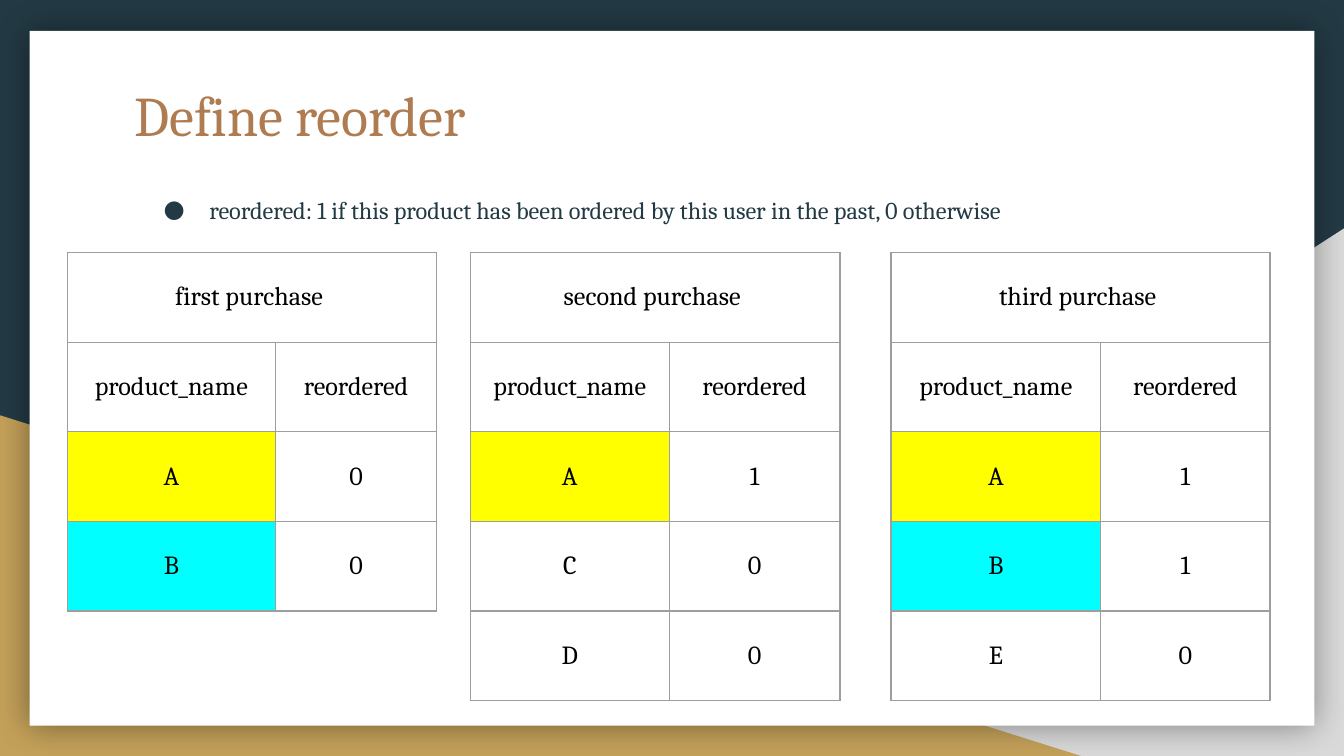
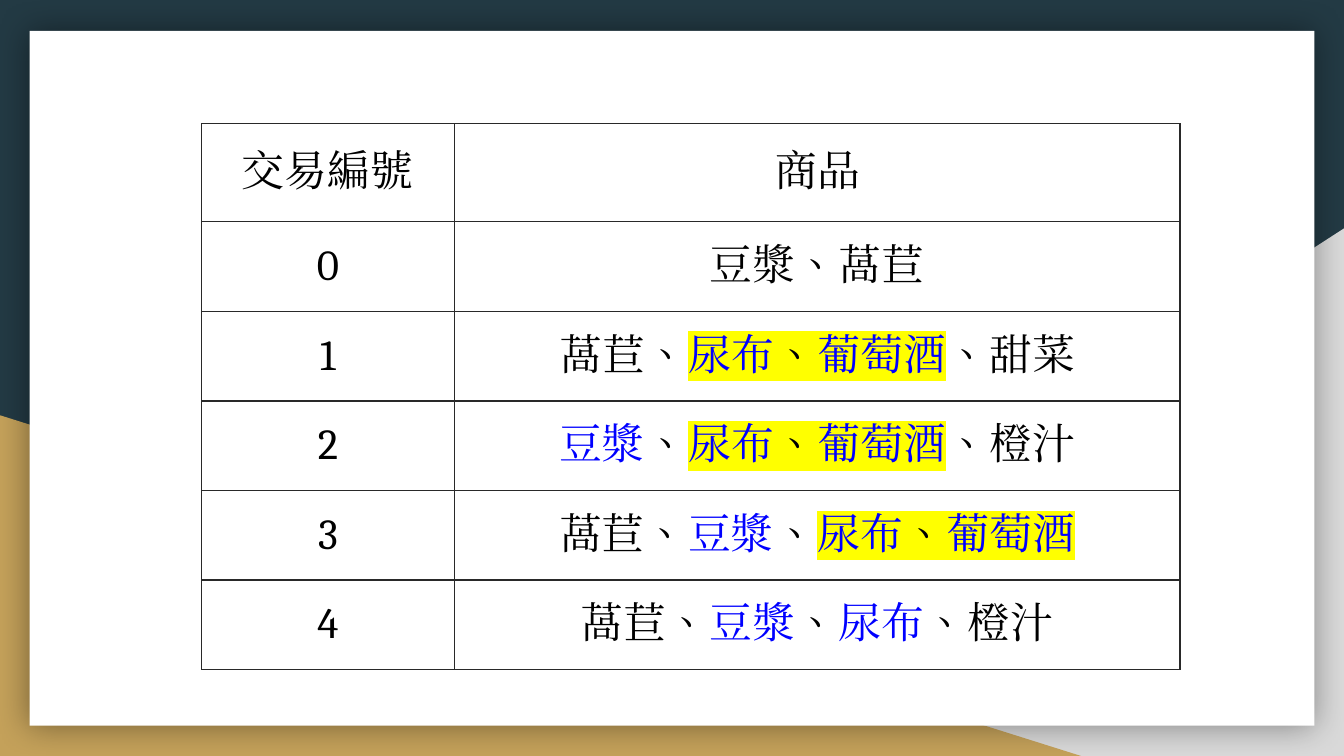
from lxml import etree
from pptx import Presentation
from pptx.dml.color import RGBColor
from pptx.enum.shapes import MSO_SHAPE
from pptx.enum.text import MSO_ANCHOR, MSO_AUTO_SIZE, PP_ALIGN
from pptx.oxml.ns import qn
from pptx.util import Inches, Pt

RECT = MSO_SHAPE.RECTANGLE
WEDGE = MSO_SHAPE.RIGHT_TRIANGLE
TOP, MIDDLE = MSO_ANCHOR.TOP, MSO_ANCHOR.MIDDLE
LEFT, CENTER = PP_ALIGN.LEFT, PP_ALIGN.CENTER
NO_FIT = MSO_AUTO_SIZE.NONE

FONT, LANG = "Cambria", "zh-TW"
NAVY, GOLD, SILVER, WHITE = "233A44", "C4A15A", "D9D9D9", "FFFFFF"
BROWN, BLACK, BLUE = "AF7B51", "000000", "0000FF"
YELLOW, CYAN = "FFFF00", "00FFFF"
GRAY, DARK = "9E9E9E", "292929"
PAD = 0.1
ROW = 2 / 3

BACKDROP = [
    (WEDGE, (3.92, 1.7, 6.08, 3.93), SILVER, True),
    (WEDGE, (0, 3.09, 8.06, 2.54), GOLD, False),
    (RECT, (0.22, 0.23, 9.56, 5.17), WHITE, False),
]

TITLE = "Define reorder"
RULE = ("reordered: 1 if this product has been ordered by this user "
        "in the past, 0 otherwise")
HEAD = ("product_name", "reordered")
MARKS = {"A": YELLOW, "B": CYAN}
ORDERS = [
    ("first purchase ", 0.5, (1.55, 1.2), [("A", "0"), ("B", "0")]),
    ("second purchase ", 3.5, (1.48, 1.27),
     [("A", "1"), ("C", "0"), ("D", "0")]),
    ("third purchase ", 6.63, (1.56, 1.26),
     [("A", "1"), ("B", "1"), ("E", "0")]),
]

COMMA = ("、", BLACK, None)
LETTUCE = ("萵苣、", BLACK, None)
SOY = ("豆漿", BLUE, None)
JUICE = ("、橙汁", BLACK, None)
PAIR = [("尿布", BLUE, YELLOW), ("、", BLACK, YELLOW),
        ("葡萄酒", BLUE, YELLOW)]
BASKETS = [
    ("交易編號", "商品"),
    ("0", "豆漿、萵苣"),
    ("1", [LETTUCE, *PAIR, ("、甜菜", BLACK, None)]),
    ("2", [SOY, COMMA, *PAIR, JUICE]),
    ("3", [LETTUCE, SOY, COMMA, *PAIR]),
    ("4", [LETTUCE, SOY, COMMA, ("尿布", BLUE, None), JUICE]),
]


def rgb(code):
    return RGBColor.from_string(code)


def add_node(parent, tag, **attrs):
    node = etree.SubElement(parent, qn(tag))
    for key, value in attrs.items():
        node.set(key, str(value))
    return node


def add_run(para, text, size, color, mark=None):
    run = para.add_run()
    run.text = text
    font = run.font
    font.size = Pt(size)
    font.color.rgb = rgb(color)
    props = run._r.get_or_add_rPr()
    props.set("lang", LANG)
    if mark:
        add_node(add_node(props, "a:highlight"), "a:srgbClr", val=mark)
    font.name = FONT
    add_node(props, "a:ea", typeface=FONT)


def set_pads(item):
    item.margin_left = item.margin_right = Inches(PAD)
    item.margin_top = item.margin_bottom = Inches(PAD)


def add_backdrop(deck, slide):
    master = deck.slide_master
    fill = master.background.fill
    fill.solid()
    fill.fore_color.rgb = rgb(NAVY)
    for n, (kind, box, color, flip) in enumerate(BACKDROP):
        shape = slide.shapes.add_shape(kind, *map(Inches, box))
        shape.shadow.inherit = False
        shape.fill.solid()
        shape.fill.fore_color.rgb = rgb(color)
        shape.line.fill.background()
        node = shape._element
        node.nvSpPr.cNvPr.set("id", str(20 + n))
        if flip:
            node.spPr.find(qn("a:xfrm")).set("flipH", "1")
        if kind == RECT:
            glow = add_node(node.spPr.find(qn("a:effectLst")),
                            "a:outerShdw", blurRad=Pt(18), dist=0, dir=0,
                            algn="ctr", rotWithShape=0)
            tint = add_node(glow, "a:srgbClr", val=BLACK)
            add_node(tint, "a:alpha", val=40000)
        master.shapes._spTree.insert(2 + n, node)


def set_edges(cell, color):
    props = cell._tc.get_or_add_tcPr()
    for side in "LRTB":
        line = add_node(props, "a:ln" + side, w=Pt(0.75))
        add_node(add_node(line, "a:solidFill"), "a:srgbClr", val=color)


def add_grid(slide, left, top, cols, highs, rows, size, edge):
    frame = slide.shapes.add_table(
        len(rows), len(cols), Inches(left), Inches(top),
        Inches(sum(cols)), Inches(sum(highs)))
    grid = frame.table
    grid.first_row = grid.horz_banding = False
    for col, wide in zip(grid.columns, cols):
        col.width = Inches(wide)
    for r, (row, high) in enumerate(zip(rows, highs)):
        grid.rows[r].height = Inches(high)
        for c, text in enumerate(row):
            cell = grid.cell(r, c)
            set_edges(cell, edge)
            set_pads(cell)
            cell.vertical_anchor = MIDDLE
            runs = [(text, BLACK, None)] if isinstance(text, str) else text
            color = MARKS.get(runs[0][0])
            if color:
                cell.fill.solid()
                cell.fill.fore_color.rgb = rgb(color)
            else:
                cell.fill.background()
            para = cell.text_frame.paragraphs[0]
            para.alignment = CENTER
            for part, ink, mark in runs:
                if part:
                    add_run(para, part, size, ink, mark)
    return grid


def add_title(slide):
    title = slide.shapes.title
    title.left, title.top = Inches(0.9), Inches(0.5)
    title.width, title.height = Inches(8.21), Inches(1.04)
    frame = title.text_frame
    set_pads(frame)
    frame.auto_size = NO_FIT
    frame.vertical_anchor = TOP
    para = frame.paragraphs[0]
    para.alignment = LEFT
    add_run(para, TITLE, 30, BROWN)


def add_rule(slide):
    box = slide.shapes.add_textbox(
        Inches(0.96), Inches(1.32), Inches(7.97), Inches(0.42))
    frame = box.text_frame
    frame.word_wrap = True
    set_pads(frame)
    para = frame.paragraphs[0]
    para.line_spacing = 1.15
    props = para._p.get_or_add_pPr()
    props.set("marL", str(Inches(0.5)))
    props.set("indent", str(Inches(-0.34)))
    add_node(add_node(props, "a:buClr"), "a:srgbClr", val=NAVY)
    add_node(props, "a:buSzPts", val=1300)
    add_node(props, "a:buFont", typeface=FONT)
    add_node(props, "a:buChar", char="●")
    add_run(para, RULE, 13, NAVY)


def main():
    deck = Presentation()
    deck.slide_width = Inches(10)
    deck.slide_height = deck.slide_width * 9 // 16
    slide = deck.slides.add_slide(deck.slide_layouts[5])
    add_backdrop(deck, slide)
    add_title(slide)
    for name, left, cols, items in ORDERS:
        rows = [(name, ""), HEAD, *items]
        grid = add_grid(slide, left, 1.88, cols, [ROW] * len(rows),
                        rows, 14, GRAY)
        grid.cell(0, 0).merge(grid.cell(0, 1))
    add_rule(slide)

    slide = deck.slides.add_slide(deck.slide_layouts[6])
    add_grid(slide, 1.5, 0.92, (1.88, 5.4), [0.73] + [ROW] * 5,
             BASKETS, 23, DARK)
    deck.save("out.pptx")


if __name__ == "__main__":
    main()
